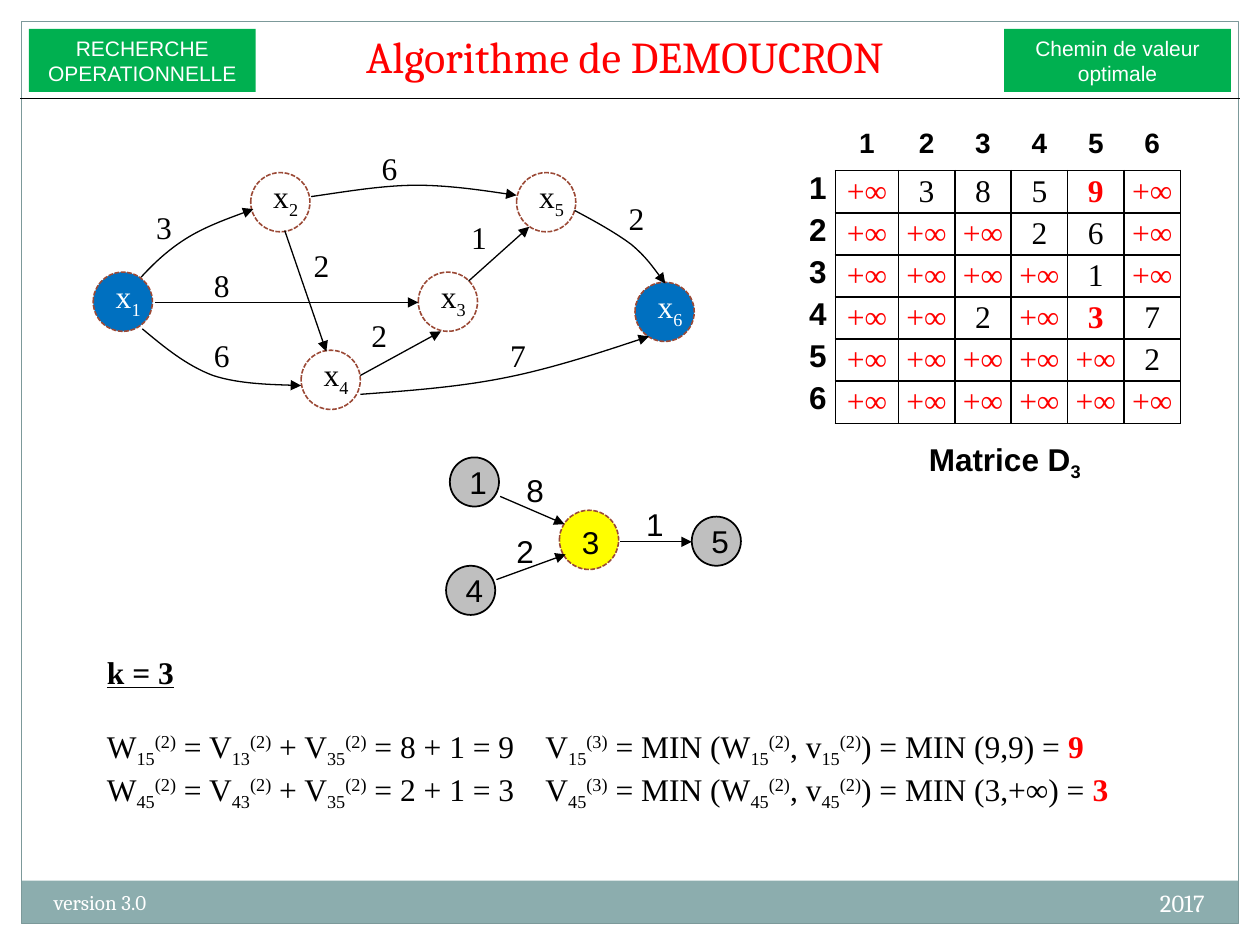
import dataclasses

import lxml.etree
import pptx
import pptx.dml.color
import pptx.enum.dml
import pptx.enum.shapes
import pptx.enum.text
import pptx.oxml.ns
import pptx.util

qn = pptx.oxml.ns.qn
SHAPE = pptx.enum.shapes.MSO_SHAPE
ALIGN = pptx.enum.text.PP_ALIGN
ANCHOR = pptx.enum.text.MSO_ANCHOR
CELL = pptx.util.Inches(0.1)


@dataclasses.dataclass(frozen=True)
class Theme:
    black: str = "000000"
    white: str = "FFFFFF"
    red: str = "FF0000"
    green: str = "00B050"
    blue: str = "0070C0"
    yellow: str = "FFFF00"
    grey: str = "BFBFBF"
    band: str = "8CADAE"
    frame: str = "7C999A"
    rim: str = "9B4936"
    sans: str = "Arial"
    serif: str = "Times New Roman"
    head: str = "Cambria"
    title: float = 25.2
    body: int = 18
    index: int = 16
    year: int = 14
    small: int = 12
    thin: float = 0.75
    dash: float = 0.9
    solid: int = 1


T = Theme()


@dataclasses.dataclass(frozen=True)
class Box:
    col: float
    row: float
    cols: float
    rows: float

    def sub(self, col, row, cols, rows):
        return Box(self.col + col, self.row + row, cols, rows)

    def pt(self, col, row):
        return round((self.col + col) * CELL), round((self.row + row) * CELL)

    def emu(self):
        return *self.pt(0, 0), round(self.cols * CELL), round(self.rows * CELL)


def rgb(color):
    return pptx.dml.color.RGBColor.from_string(color)


def write(p, text, font, size, color=T.black, align=ALIGN.LEFT, bold=False):
    p.alignment = align
    p.font.name, p.font.size, p.font.bold = font, pptx.util.Pt(size), bold
    p.font.color.rgb = rgb(color)
    for part in text.split("|"):
        r = p.add_run()
        mark = part[0]
        r.text = part[1:] if mark in "_^*" else part
        if mark == "*":
            r.font.bold = True
            r.font.color.rgb = rgb(T.red)
        elif mark in "_^":
            r._r.get_or_add_rPr().set("baseline", "-25000" if mark == "_" else "30000")


def label(shapes, box, text, font, size, **style):
    tf = shapes.add_textbox(*box.emu()).text_frame
    tf.word_wrap = True
    write(tf.paragraphs[0], text, font, size, **style)
    return tf


def shape(shapes, kind, box, fill=None, line=None, width=T.thin):
    sp = shapes.add_shape(kind, *box.emu())
    sp.shadow.inherit = False
    if fill:
        sp.fill.solid()
        sp.fill.fore_color.rgb = rgb(fill)
    else:
        sp.fill.background()
    if line:
        sp.line.color.rgb = rgb(line)
        sp.line.width = pptx.util.Pt(width)
    else:
        sp.line.fill.background()
    return sp


def ring(shapes, box, fill=None):
    sp = shape(shapes, SHAPE.OVAL, box, fill, T.rim, T.dash)
    sp.line.dash_style = pptx.enum.dml.MSO_LINE.SQUARE_DOT


def stroke(sp, arrow=True):
    sp.line.color.rgb = rgb(T.black)
    sp.line.width = pptx.util.Pt(T.thin)
    if arrow:
        ln = sp.line._get_or_add_ln()
        lxml.etree.SubElement(ln, qn("a:tailEnd"), type="triangle")


def straight(shapes, box, start, end, arrow=True):
    kind = pptx.enum.shapes.MSO_CONNECTOR.STRAIGHT
    sp = shapes.add_connector(kind, *box.pt(*start), *box.pt(*end))
    stroke(sp, arrow)
    lxml.etree.SubElement(sp._element.spPr, qn("a:effectLst"))


def curve(shapes, box, points):
    start, *rest = [box.pt(*point) for point in points]
    builder = shapes.build_freeform(*start)
    builder.add_line_segments(rest, close=False)
    sp = builder.convert_to_shape()
    sp.shadow.inherit = False
    sp.fill.background()
    stroke(sp)
    outline = next(sp._element.iter(qn("a:path")))
    lines = outline.findall(qn("a:lnTo"))
    for i in range(0, len(lines), 3):
        bezier = lxml.etree.SubElement(outline, qn("a:cubicBezTo"))
        for line in lines[i:i + 3]:
            bezier.append(line[0])
            outline.remove(line)


def page_frame(s, box):
    shape(s.shapes, SHAPE.RECTANGLE, box.sub(0, 68.2, box.cols, 3.4), T.band)
    shape(s.shapes, SHAPE.RECTANGLE, box, line=T.frame)
    label(s.shapes, box.sub(61.6, 68.3, 33.3, 4), "2017", T.head, T.year,
          color=T.white, align=ALIGN.RIGHT)
    label(s.shapes, box.sub(1.6, 68.4, 39.2, 4), "version 3.0", T.head, T.small, color=T.white)


def header(s, box):
    tf = label(s.shapes, box.sub(18.7, 0.8, 58.6, 4.5), "Algorithme de DEMOUCRON",
               T.head, T.title, color=T.red, align=ALIGN.CENTER)
    tf.vertical_anchor = ANCHOR.BOTTOM
    tags = (0.7, ("RECHERCHE", "OPERATIONNELLE")), (78.1, ("Chemin de valeur", "optimale"))
    for col, lines in tags:
        tf = shape(s.shapes, SHAPE.RECTANGLE, box.sub(col, 0.6, 18, 5), T.green).text_frame
        for i, line in enumerate(lines):
            p = tf.add_paragraph() if i else tf.paragraphs[0]
            write(p, line, T.sans, T.small, color=T.white, align=ALIGN.CENTER)
    straight(s.shapes, box, (0, box.rows), (box.cols, box.rows), arrow=False)


def graph(s, box):
    shapes = s.shapes.add_group_shape().shapes
    nodes = ((1, 0.4, 10.6), (5, 34, 2.7), (2, 12.9, 2.7),
             (6, 43.4, 11.4), (4, 16.9, 16.8), (3, 26.2, 10.6))
    for n, col, row in nodes:
        end = n in (1, 6)
        ring(shapes, box.sub(col, row, 4.7, 4.7), T.blue if end else None)
        label(shapes, box.sub(col + 0.8, row - 0.1, 5.5, 4), f"x|_{n}", T.serif, T.body,
              color=T.white if end else T.black)
    edges = (((5.3, 13), (26.2, 13)), ((15.6, 7.3), (18.9, 16.9)),
             ((30.2, 11.3), (35, 7)), ((21.6, 18.8), (28, 15.3)))
    for start, end in edges:
        straight(shapes, box, start, end)
    arcs = (
        ((4.2, 11), (5.3, 9.8), (6.5, 8.7), (8, 7.8), (9.5, 6.9), (13.1, 5.6)),
        ((4.3, 15.1), (6.1, 16.6), (7.8, 18), (9.9, 18.8), (12, 19.5), (16.9, 19.6)),
        ((17.7, 4.6), (20.5, 4.2), (23.4, 3.7), (26.1, 3.7), (28.8, 3.7), (34, 4.5)),
        ((21.6, 20.3), (25.7, 20), (29.7, 19.7), (33.5, 18.9), (37.4, 18.1), (44.5, 15.7)),
        ((38.6, 5.7), (40.3, 6.6), (41.9, 7.5), (43.1, 8.4), (44.3, 9.4), (45.8, 11.5)),
    )
    for points in arcs:
        curve(shapes, box, (*points, points[-1]))
    weights = ((3, 4.4, 5), (1, 29.4, 5.8), (6, 9, 15.2), (8, 9, 9.6), (6, 22.3, 0.3),
               (2, 16.9, 8), (2, 21.5, 13.6), (7, 32.5, 15.2), (2, 41.9, 4.3))
    for weight, col, row in weights:
        label(shapes, box.sub(col, row, 4.7, 4), str(weight), T.serif, T.body)


def border(cell, edges):
    tc_pr = cell._tc.get_or_add_tcPr()
    for side, shown in edges.items():
        ln = lxml.etree.SubElement(tc_pr, qn(f"a:ln{side}"), w=str(pptx.util.Pt(T.solid)))
        fill = lxml.etree.SubElement(ln, qn("a:solidFill" if shown else "a:noFill"))
        if shown:
            lxml.etree.SubElement(fill, qn("a:srgbClr"), val=T.black)


def matrix(s, box):
    values = ("∞ 3 8 5 *9 ∞", "∞ ∞ ∞ 2 6 ∞", "∞ ∞ ∞ ∞ 1 ∞",
              "∞ ∞ 2 ∞ *3 7", "∞ ∞ ∞ ∞ ∞ 2", "∞ ∞ ∞ ∞ ∞ ∞")
    rows = [["", *"123456"]]
    rows += [[str(i), *line.split()] for i, line in enumerate(values, 1)]
    table = s.shapes.add_table(7, 7, *box.emu()).table
    table.first_row = table.horz_banding = False
    for column, cols in zip(table.columns, (7.8, 5, *[4.48] * 5)):
        column.width = round(cols * CELL)
    for r, row in enumerate(rows):
        for c, text in enumerate(row):
            cell = table.cell(r, c)
            inner = r > 0 and c > 0
            cell.margin_top = cell.margin_bottom = 0
            cell.margin_left = cell.margin_right = 0 if inner else pptx.util.Inches(0.07)
            border(cell, {"L": inner, "R": r > 0, "T": inner, "B": c > 0})
            cell.fill.background()
            p = cell.text_frame.paragraphs[0]
            if inner:
                cell.vertical_anchor = ANCHOR.MIDDLE
                infinite = text == "∞"
                write(p, "+∞" if infinite else text, T.serif, T.body,
                      color=T.red if infinite else T.black, align=ALIGN.CENTER)
            elif text:
                write(p, text, T.sans, T.body if r else T.index, bold=True,
                      align=ALIGN.RIGHT if r else ALIGN.CENTER)
    label(s.shapes, box.sub(7.6, 24.2, 27.3, 4), "Matrice D|_3", T.sans, T.body,
          align=ALIGN.CENTER, bold=True)


def pivot(s, box):
    shapes = s.shapes
    ring(shapes, box.sub(9.4, 4.5, 4.7, 4.7), T.yellow)
    label(shapes, box.sub(10.2, 5, 4.6, 4), "3", T.sans, T.body)
    edges = (((14.2, 7), (19.9, 7)), ((4.4, 10), (9.9, 8)), ((4.7, 3.4), (9.8, 5.6)))
    for start, end in edges:
        straight(shapes, box, start, end)
    for weight, col, row in (("8", 5.8, 0.9), ("2", 5, 5.7), ("1", 15.3, 3.6)):
        label(shapes, box.sub(col, row, 3.8, 4), weight, T.sans, T.body)
    for n, col, row in (("1", 0.7, 0.3), ("4", 0.4, 8.9), ("5", 19.9, 5)):
        sp = shape(shapes, SHAPE.OVAL, box.sub(col, row, 3.9, 3.9), T.grey, T.black, T.solid)
        sp.text_frame.vertical_anchor = ANCHOR.MIDDLE
        write(sp.text_frame.paragraphs[0], n, T.sans, T.body, align=ALIGN.CENTER)


def formulas(s, box):
    tf = label(s.shapes, box, "k = 3", T.serif, T.body, bold=True)
    tf.paragraphs[0].font.underline = True
    tf.paragraphs[0].space_after = pptx.util.Pt(20.7)
    for i, a, w, v in ((1, 8, 9, "9"), (4, 2, 3, "+∞")):
        p = tf.add_paragraph()
        write(p, f"W|_{i}5|^(2)| = V|_{i}3|^(2)| + V|_35|^(2)| = {a} + 1 = {w}\tV|_{i}5|^(3)"
                 f"| = MIN (W|_{i}5|^(2)|, v|_{i}5|^(2)|) = MIN ({w},{v}) = |*{w}",
              T.serif, T.body)
        tabs = lxml.etree.Element(qn("a:tabLst"))
        lxml.etree.SubElement(tabs, qn("a:tab"), pos=str(round(34.8 * CELL)), algn="l")
        p._p.get_or_add_pPr().insert(0, tabs)


def main():
    prs = pptx.Presentation()
    prs.slide_width, prs.slide_height = 100 * CELL, 75 * CELL
    s = prs.slides.add_slide(prs.slide_layouts[6])
    page_frame(s, Box(1.7, 1.7, 96.6, 71.6))
    header(s, Box(1.6, 1.7, 96.8, 6.1))
    graph(s, Box(7, 11, 49, 22))
    matrix(s, Box(58.5, 10.2, 35.2, 23.4))
    pivot(s, Box(35, 36, 24, 13))
    formulas(s, Box(7.5, 51.3, 85.9, 13.1))
    prs.save("out.pptx")


if __name__ == "__main__":
    main()
